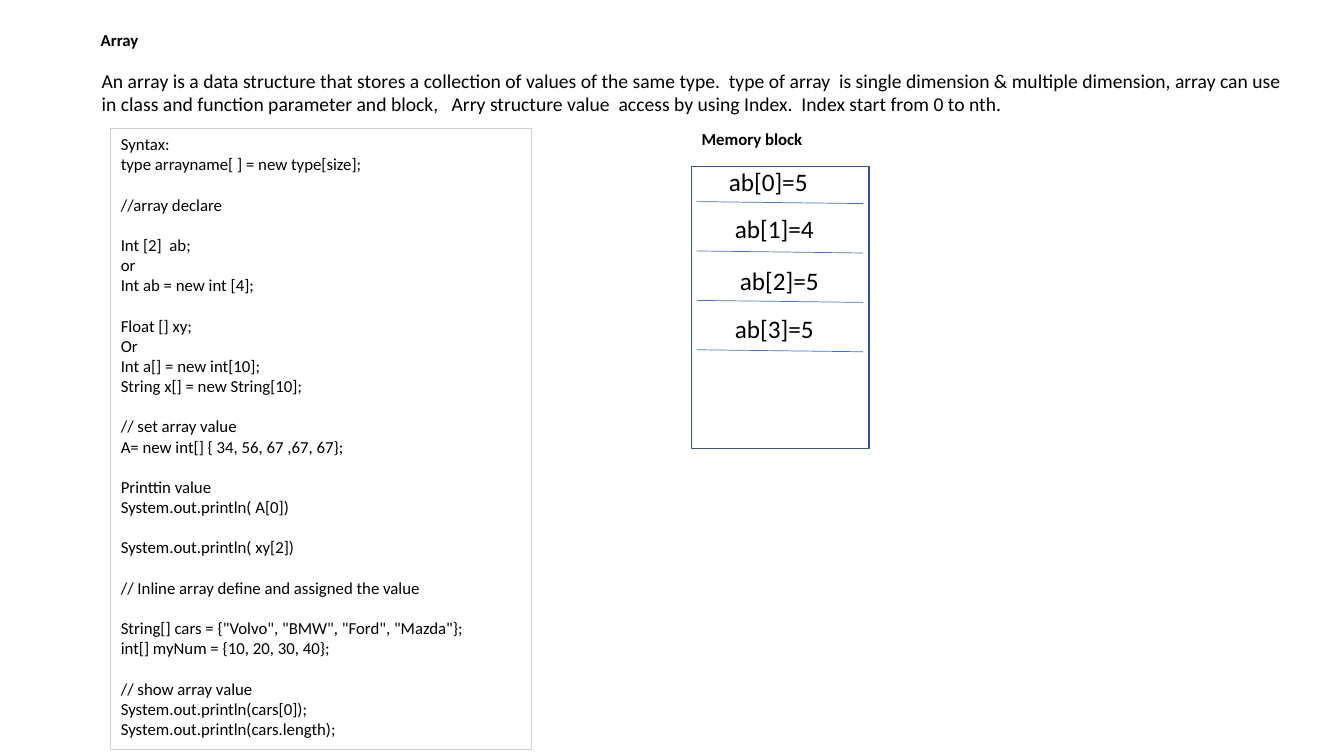
from lxml import etree
from pptx import Presentation
from pptx.dml.color import RGBColor
from pptx.enum.shapes import MSO_CONNECTOR, MSO_SHAPE
from pptx.enum.text import MSO_ANCHOR, PP_ALIGN
from pptx.oxml.ns import qn
from pptx.util import Inches, Pt

RECT = MSO_SHAPE.RECTANGLE
STRAIGHT = MSO_CONNECTOR.STRAIGHT
TOP = MSO_ANCHOR.TOP
LEFT = PP_ALIGN.LEFT

BLACK = RGBColor(0x00, 0x00, 0x00)
WHITE = RGBColor(0xFF, 0xFF, 0xFF)
GREY = RGBColor(0xD0, 0xCE, 0xCE)
NAVY = RGBColor(0x32, 0x54, 0x91)
BLUE = RGBColor(0x44, 0x72, 0xC4)

FONT = "Calibri"
BLANK_LINE = Pt(14.4)

INTRO = (
    "An array is a data structure that stores a collection of values of the same type.  "
    "type of array  is single dimension & multiple dimension, array can use in class and "
    "function parameter and block,   Arry structure value  access by using Index.  "
    "Index start from 0 to nth."
)

CODE_GROUPS = [
    ["Syntax:", "type arrayname[ ] = new type[size];"],
    ["//array declare"],
    ["Int [2]  ab;", "or", "Int ab = new int [4];"],
    ["Float [] xy;", "Or", "Int a[] = new int[10];", "String x[] = new String[10];"],
    ["// set array value", "A= new int[] { 34, 56, 67 ,67, 67};"],
    ["Printtin value", "System.out.println( A[0])"],
    ["System.out.println( xy[2])"],
    ["// Inline array define and assigned the value"],
    ['String[] cars = {"Volvo", "BMW", "Ford", "Mazda"};', "int[] myNum = {10, 20, 30, 40};"],
    ["// show array value", "System.out.println(cars[0]);", "System.out.println(cars.length);"],
]

CELLS = [
    ("ab[0]=5", 0.27, -0.05),
    ("ab[1]=4", 0.33, 0.42),
    ("ab[2]=5", 0.38, 0.93),
    ("ab[3]=5", 0.33, 1.41),
]


def style(p, size, bold=False):
    p.alignment = LEFT
    p.font.name = FONT
    p.font.size = Pt(size)
    p.font.bold = bold
    p.font.color.rgb = BLACK


def add_text(slide, text, x, y, w, h, size, bold=False):
    s = slide.shapes.add_textbox(Inches(x), Inches(y), Inches(w), Inches(h))
    tf = s.text_frame
    tf.word_wrap = True
    tf.text = text
    style(tf.paragraphs[0], size, bold)


def add_box(slide, x, y, w, h, color, width):
    s = slide.shapes.add_shape(RECT, Inches(x), Inches(y), Inches(w), Inches(h))
    s.shadow.inherit = False
    s.line.color.rgb = color
    s.line.width = Pt(width)
    return s


def add_divider(slide, x, y, w, drop):
    s = slide.shapes.add_connector(
        STRAIGHT, Inches(x), Inches(y), Inches(x + w), Inches(y + drop))
    s.line.color.rgb = BLUE
    s.line.width = Pt(0.5)
    etree.SubElement(s._element.spPr, qn("a:effectLst"))


def add_header(slide, x, y, w):
    add_text(slide, "Array", x, y, 1.03, 0.3, 12, True)
    add_text(slide, INTRO, x + 0.01, y + 0.38, w, 0.57, 14)


def add_code(slide, x, y, w, h):
    s = add_box(slide, x, y, w, h, GREY, 0.75)
    s.fill.background()
    tf = s.text_frame
    tf.word_wrap = True
    tf.vertical_anchor = TOP
    p = tf.paragraphs[0]
    for g, group in enumerate(CODE_GROUPS):
        for i, line in enumerate(group):
            if g or i:
                p = tf.add_paragraph()
            p.text = line
            style(p, 12)
            if g and i == 0:
                p.space_before = BLANK_LINE


def add_memory(slide, x, y, w, h):
    add_text(slide, "Memory block", x, y - 0.42, 1.83, 0.3, 12, True)
    s = add_box(slide, x, y, w, h, NAVY, 1)
    s.fill.solid()
    s.fill.fore_color.rgb = WHITE
    for i, (text, dx, dy) in enumerate(CELLS):
        add_divider(slide, x + 0.05, y + 0.35 + i * 0.49, w - 0.11, 0.02)
        add_text(slide, text, x + dx, y + dy, 1.1, 0.4, 18)


def main():
    prs = Presentation()
    prs.slide_width = Inches(13.33)
    prs.slide_height = Inches(7.5)
    slide = prs.slides.add_slide(prs.slide_layouts[6])
    add_header(slide, 0.9, 0.25, 11.91)
    add_code(slide, 1.1, 1.28, 4.17, 6.16)
    add_memory(slide, 6.86, 1.65, 1.76, 2.8)
    prs.save("out.pptx")


if __name__ == "__main__":
    main()
